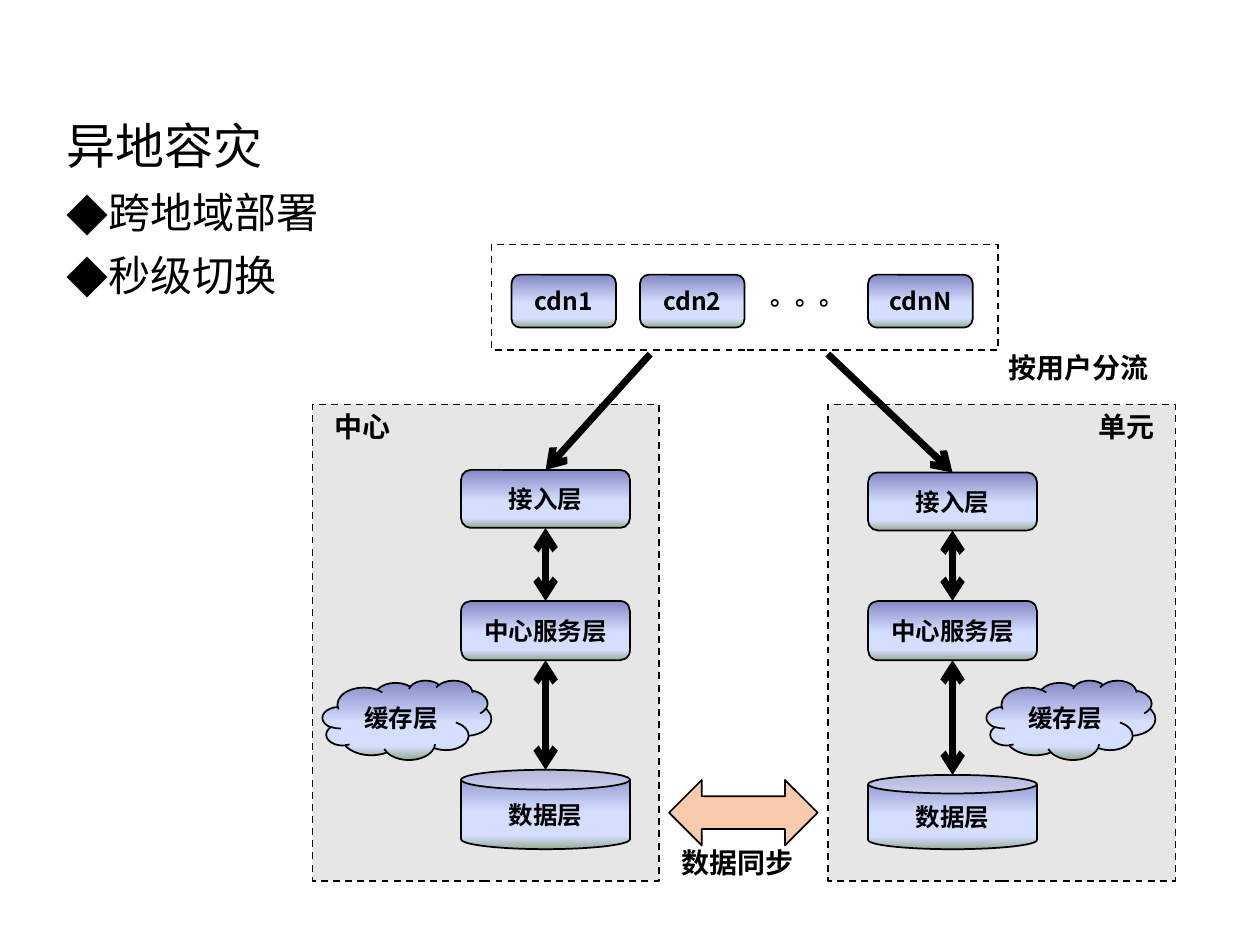
"""Build a slide on remote disaster recovery between a center and a unit site."""
import pptx
import pptx.util
import pptx.dml.color
import pptx.enum.dml
import pptx.enum.shapes
import pptx.enum.text
import pptx.oxml.ns
import lxml.etree

Inches = pptx.util.Inches
Pt = pptx.util.Pt
SHAPE = pptx.enum.shapes.MSO_SHAPE
qn = pptx.oxml.ns.qn

THEME = {
    "font": "Noto Sans CJK SC", "ink": "000000", "zone": "E7E6E6", "sync": "F8CBAD",
    "gradient": [(0, "8488C4"), (53, "D4DEFF"), (83, "D4DEFF"), (100, "96AB94")],
    "title": 28, "list": 24, "label": 16, "node": 14, "outline": 1, "arrow": 4,
}

HEADING = "异地容灾"
BULLETS = ["跨地域部署", "秒级切换"]
ZONES = [(6.57, 3.21, 2.76, 3.78, "zone"), (3.9, 1.94, 4.02, 0.84, None),
         (2.48, 3.21, 2.75, 3.78, "zone")]
SYNC_ARROW = (5.31, 6.19, 1.18, 0.52)
LABELS = [
    ("。。。", 6.02, 2.18, 0.79, 0.34, "node"),
    ("数据同步", 5.31, 6.66, 1.1, 0.37, "label"),
    ("中心", 2.56, 3.2, 0.66, 0.37, "label"),
    ("单元", 8.62, 3.2, 0.87, 0.37, "label"),
    ("按用户分流", 7.91, 2.73, 1.34, 0.37, "label"),
]
CDN_NODES = [("cdn1", 4.06), ("cdn2", 5.08), ("cdnN", 6.89)]
CDN_TOP, CDN_WIDTH, CDN_HEIGHT = 2.18, 0.83, 0.42
NODE_WIDTH = 1.34
ACCESS, SERVICE, CACHE, DATA = "接入层", "中心服务层", "缓存层", "数据层"
SERVICE_TOP, SERVICE_HEIGHT = 4.77, 0.47
ACCESS_HEIGHT = 0.46
CACHE_TOP, CACHE_HEIGHT = 5.4, 0.63
DATA_BOTTOM = 6.74
SITES = [
    {"left": 3.66, "access_top": 3.73, "data_top": 6.11, "cache_left": 2.56, "source": (5.16, 2.81)},
    {"left": 6.89, "access_top": 3.75, "data_top": 6.15, "cache_left": 7.83, "source": (6.57, 2.81)},
]


def color(name):
    return pptx.dml.color.RGBColor.from_string(THEME[name])


def style_text(para, size, bold):
    for span in para.runs:
        font = span.font
        font.name, font.size, font.bold = THEME["font"], Pt(THEME[size]), bold
        font.color.rgb = color("ink")
        east_asian = lxml.etree.Element(qn("a:ea"), typeface=THEME["font"])
        span._r.rPr.find(qn("a:latin")).addnext(east_asian)


def add_box(page, kind, left, top, width, height, fill=None, dashed=False):
    box = page.shapes.add_shape(kind, *map(Inches, (left, top, width, height)))
    box.shadow.inherit = False
    box.line.color.rgb = color("ink")
    box.line.width = Pt(THEME["outline"])
    if dashed:
        box.line.dash_style = pptx.enum.dml.MSO_LINE.DASH
    if fill:
        box.fill.solid()
        box.fill.fore_color.rgb = color(fill)
    else:
        box.fill.background()
    return box


def fill_gradient(box):
    box.fill.gradient()
    box.fill.gradient_angle = 270
    stops = box._element.spPr.find(qn("a:gradFill")).find(qn("a:gsLst"))
    for stop in list(stops):
        stops.remove(stop)
    for position, value in THEME["gradient"]:
        stop = lxml.etree.SubElement(stops, qn("a:gs"), pos=str(position * 1000))
        lxml.etree.SubElement(stop, qn("a:srgbClr"), val=value)


def add_node(page, kind, text, left, top, width, height):
    box = add_box(page, kind, left, top, width, height)
    fill_gradient(box)
    frame = box.text_frame
    frame.text = text
    frame.vertical_anchor = pptx.enum.text.MSO_ANCHOR.MIDDLE
    frame.paragraphs[0].alignment = pptx.enum.text.PP_ALIGN.CENTER
    style_text(frame.paragraphs[0], "node", True)
    return box


def add_label(page, text, left, top, width, height, size):
    box = page.shapes.add_textbox(*map(Inches, (left, top, width, height)))
    box.text_frame.text = text
    style_text(box.text_frame.paragraphs[0], size, True)


def add_arrow(page, start, end, begin_box=None, end_box=None, both=True):
    arrow = page.shapes.add_connector(
        pptx.enum.shapes.MSO_CONNECTOR.STRAIGHT, *map(Inches, (*start, *end)))
    if begin_box is not None:
        arrow.begin_connect(begin_box, 2)
    if end_box is not None:
        arrow.end_connect(end_box, 0)
    arrow.line.color.rgb = color("ink")
    arrow.line.width = Pt(THEME["arrow"])
    line = arrow.line._get_or_add_ln()
    for tag in ("a:headEnd", "a:tailEnd") if both else ("a:tailEnd",):
        lxml.etree.SubElement(line, qn(tag), type="arrow")
    lxml.etree.SubElement(arrow._element.spPr, qn("a:effectLst"))


def add_body(page):
    body = page.placeholders[1]
    body.left, body.top, body.width, body.height = map(Inches, (0.43, 0.92, 9.21, 6.19))
    frame = body.text_frame
    frame.text = "\n".join([HEADING, *BULLETS])
    frame.auto_size = pptx.enum.text.MSO_AUTO_SIZE.NONE
    for index, para in enumerate(frame.paragraphs):
        para.line_spacing = 0.9
        para.space_before = Pt(10)
        style_text(para, "list" if index else "title", False)
        properties = para._p.get_or_add_pPr()
        indent = Inches(0.25) if index else 0
        properties.set("marL", str(indent))
        properties.set("indent", str(-indent))
        if index:
            lxml.etree.SubElement(properties, qn("a:buFont"), typeface=THEME["font"])
            lxml.etree.SubElement(properties, qn("a:buChar"), char="◆")
        else:
            lxml.etree.SubElement(properties, qn("a:buNone"))


def add_site(page, site):
    left, access_top, data_top = site["left"], site["access_top"], site["data_top"]
    middle = left + NODE_WIDTH / 2
    access = add_node(page, SHAPE.ROUNDED_RECTANGLE, ACCESS, left, access_top,
                      NODE_WIDTH, ACCESS_HEIGHT)
    service = add_node(page, SHAPE.ROUNDED_RECTANGLE, SERVICE, left, SERVICE_TOP,
                       NODE_WIDTH, SERVICE_HEIGHT)
    add_node(page, SHAPE.CLOUD, CACHE, site["cache_left"], CACHE_TOP, NODE_WIDTH, CACHE_HEIGHT)
    add_node(page, SHAPE.CAN, DATA, left, data_top, NODE_WIDTH, DATA_BOTTOM - data_top)
    access_bottom = access_top + ACCESS_HEIGHT
    service_bottom = SERVICE_TOP + SERVICE_HEIGHT
    add_arrow(page, site["source"], (middle, access_top), end_box=access, both=False)
    add_arrow(page, (middle, access_bottom), (middle, SERVICE_TOP), access, service)
    add_arrow(page, (middle, service_bottom), (middle, data_top), service)


def main():
    deck = pptx.Presentation()
    deck.slide_width, deck.slide_height = Inches(10), Inches(7.5)
    page = deck.slides.add_slide(deck.slide_layouts[1])
    title = page.shapes.title._element
    title.getparent().remove(title)
    add_body(page)
    for *place, fill in ZONES:
        add_box(page, SHAPE.RECTANGLE, *place, fill=fill, dashed=True)
    add_box(page, SHAPE.LEFT_RIGHT_ARROW, *SYNC_ARROW, fill="sync")
    for label in LABELS:
        add_label(page, *label)
    for text, left in CDN_NODES:
        add_node(page, SHAPE.ROUNDED_RECTANGLE, text, left, CDN_TOP, CDN_WIDTH, CDN_HEIGHT)
    for site in SITES:
        add_site(page, site)
    deck.save("out.pptx")


if __name__ == "__main__":
    main()
